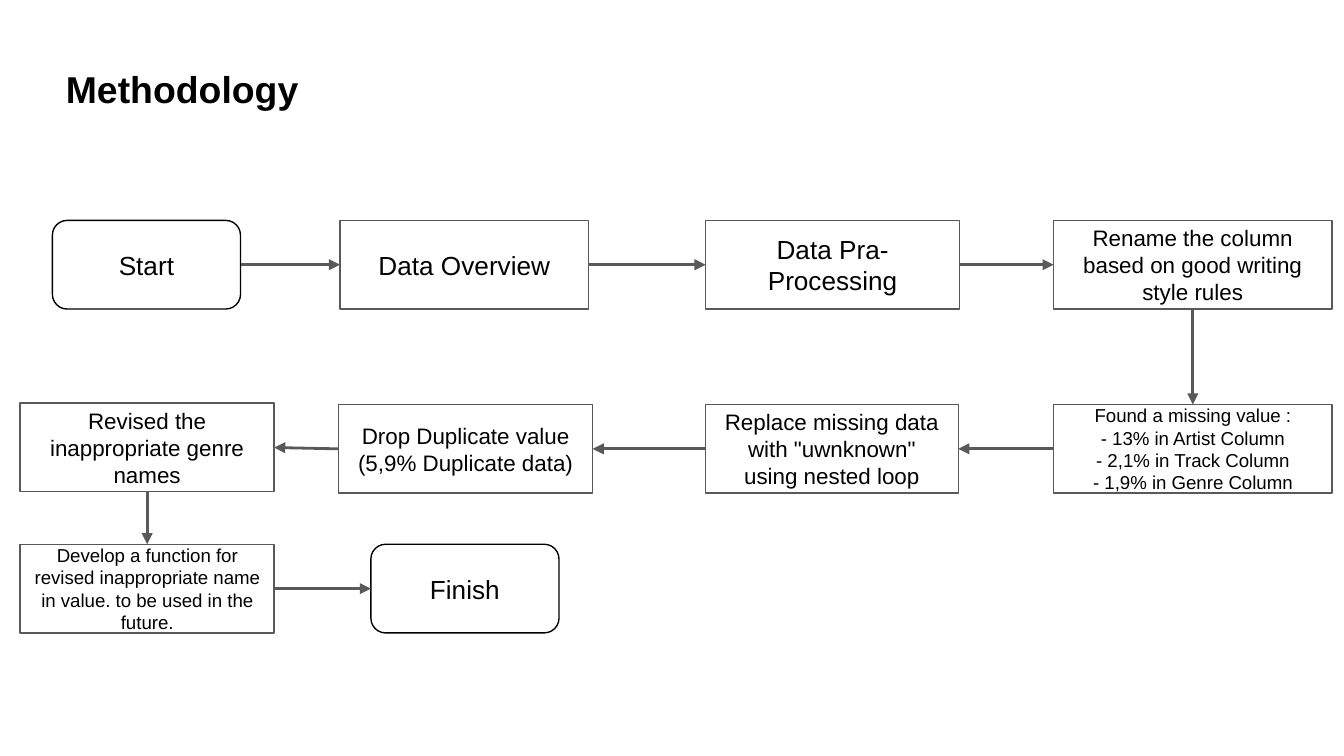
from dataclasses import dataclass
from itertools import pairwise

from pptx import Presentation
from pptx import util as u
from pptx.dml.color import RGBColor
from pptx.enum import shapes, text
from pptx.oxml import ns, xmlchemy

BLACK, GRAY, WHITE = "000000", "595959", "FFFFFF"
FONT = "Arial"
SLIDE_WIDTH = 10
SLIDE_HEIGHT = SLIDE_WIDTH * 9 / 16
STEP_HEIGHT = 0.66
TOP, LEFT, BOTTOM, RIGHT = range(4)


@dataclass
class Step:
    label: str
    left: float
    top: float
    width: float = 1.89
    size: int = 12
    terminal: bool = False


STEPS = [
    Step("Start", 0.39, 1.64, 1.4, 14, terminal=True),
    Step("Data Overview", 2.53, 1.64, 1.85, 14),
    Step("Data Pra-Processing", 5.25, 1.64, size=14),
    Step("Rename the column based on good writing style rules", 7.84, 1.64, 2.07),
    Step(
        "Found a missing value :\v- 13% in Artist Column\v"
        "- 2,1% in Track Column\n- 1,9% in Genre Column",
        7.84, 3.01, 2.07, 10,
    ),
    Step('Replace missing data with "uwnknown" using nested loop', 5.25, 3.01, 1.88),
    Step("Drop Duplicate value\v(5,9% Duplicate data)", 2.52, 3.01),
    Step("Revised the inappropriate genre names", 0.15, 3),
    Step(
        "Develop a function for revised inappropriate name in value. "
        "to be used in the future.",
        0.15, 4.05, size=10,
    ),
    Step("Finish", 2.76, 4.05, 1.4, 14, terminal=True),
]


def rgb(value: str) -> RGBColor:
    return RGBColor.from_string(value)


def write(frame, content: str, size: int, align, anchor, bold: bool = False) -> None:
    frame.text = content
    frame.word_wrap = True
    frame.auto_size = text.MSO_AUTO_SIZE.NONE
    frame.vertical_anchor = anchor
    frame.margin_left = frame.margin_right = u.Inches(0.1)
    frame.margin_top = frame.margin_bottom = u.Inches(0.1)
    for paragraph in frame.paragraphs:
        paragraph.alignment = align
        paragraph.font.name = FONT
        paragraph.font.size = u.Pt(size)
        paragraph.font.bold = bold
        paragraph.font.color.rgb = rgb(BLACK)


def add_title(slide, content: str) -> None:
    title = slide.shapes.title
    title.left, title.top = u.Inches(0.39), u.Inches(0.39)
    title.width, title.height = u.Inches(3.91), u.Inches(0.54)
    write(title.text_frame, content, 20, text.PP_ALIGN.LEFT,
          text.MSO_ANCHOR.TOP, bold=True)


def add_step(slide, step: Step):
    kind = shapes.MSO_SHAPE
    box = slide.shapes.add_shape(
        kind.ROUNDED_RECTANGLE if step.terminal else kind.RECTANGLE,
        u.Inches(step.left), u.Inches(step.top),
        u.Inches(step.width), u.Inches(STEP_HEIGHT),
    )
    box.shadow.inherit = False
    box.fill.solid()
    box.fill.fore_color.rgb = rgb(WHITE)
    box.line.color.rgb = rgb(BLACK if step.terminal else GRAY)
    box.line.width = u.Pt(0.75)
    write(box.text_frame, step.label, step.size, text.PP_ALIGN.CENTER,
          text.MSO_ANCHOR.MIDDLE)
    return box


def facing_sides(source, target) -> tuple[int, int]:
    if target.left >= source.left + source.width:
        return RIGHT, LEFT
    if target.left + target.width <= source.left:
        return LEFT, RIGHT
    return BOTTOM, TOP


def add_arrow(slide, source, target) -> None:
    arrow = slide.shapes.add_connector(shapes.MSO_CONNECTOR.STRAIGHT, 0, 0, 0, 0)
    begin, end = facing_sides(source, target)
    arrow.begin_connect(source, begin)
    arrow.end_connect(target, end)
    arrow.line.color.rgb = rgb(GRAY)
    arrow.line.width = u.Pt(1.5)
    properties = arrow._element.spPr
    head = xmlchemy.OxmlElement("a:tailEnd")
    head.set("type", "triangle")
    properties.find(ns.qn("a:ln")).append(head)
    properties.append(xmlchemy.OxmlElement("a:effectLst"))


def main() -> None:
    deck = Presentation()
    deck.slide_width = u.Inches(SLIDE_WIDTH)
    deck.slide_height = u.Inches(SLIDE_HEIGHT)
    slide = deck.slides.add_slide(deck.slide_layouts[5])
    add_title(slide, "Methodology")
    boxes = [add_step(slide, step) for step in STEPS]
    for source, target in pairwise(boxes):
        add_arrow(slide, source, target)
    deck.save("out.pptx")


if __name__ == "__main__":
    main()
